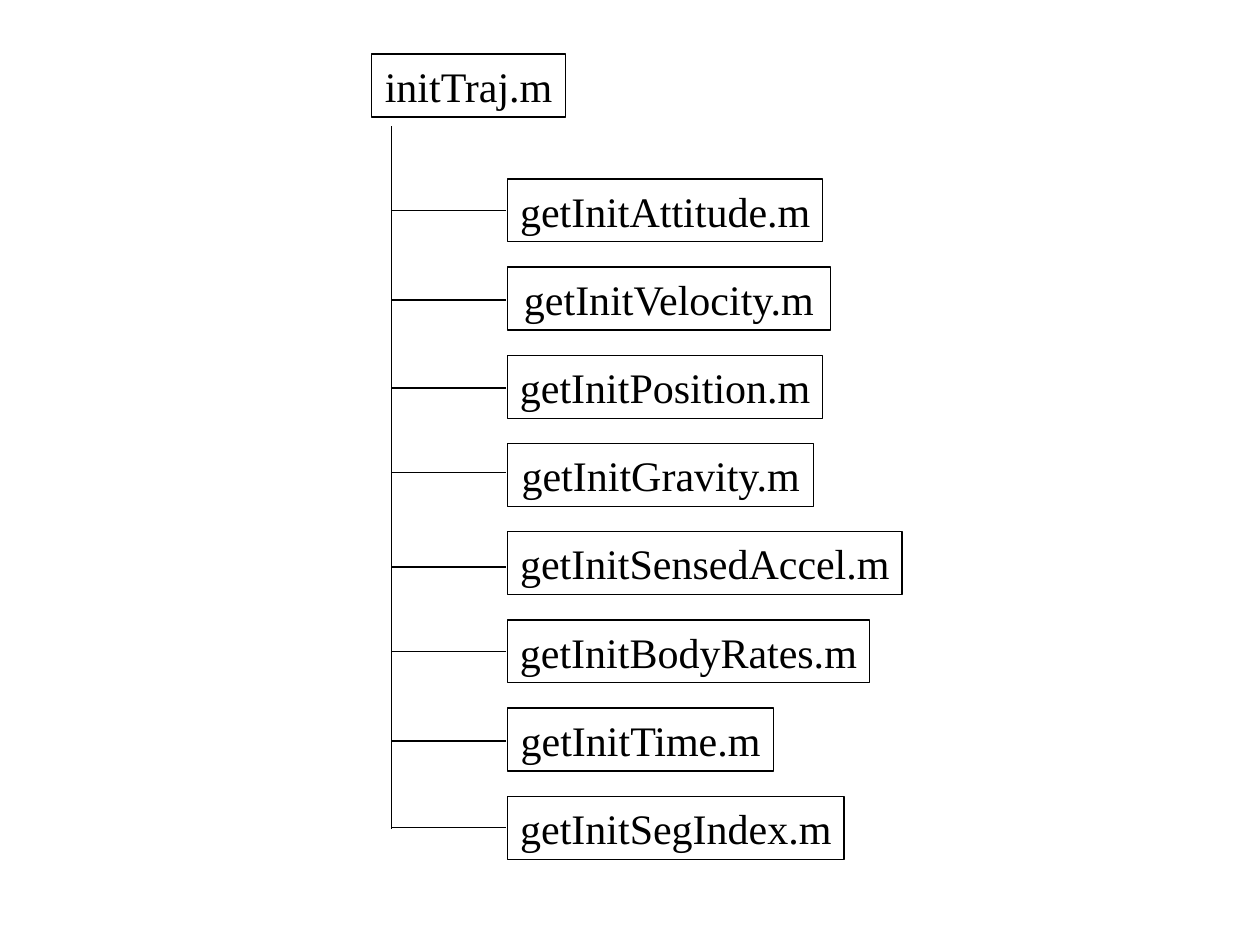
from pptx import Presentation
from pptx.dml.color import RGBColor
from pptx.enum.shapes import MSO_CONNECTOR as Connector, MSO_SHAPE as Shape
from pptx.enum.text import MSO_ANCHOR as Anchor, MSO_AUTO_SIZE as AutoSize, PP_ALIGN as Align
from pptx.oxml.ns import qn
from pptx.util import Inches, Pt
from lxml.etree import SubElement

INK = "000000"
FONT = "Times New Roman"
BOX_HEIGHT, SIDE_INSET = 0.5, 0.09
CHILD_LEFT, FIRST_ROW, ROW_STEP = 4.03, 1.42, 0.7
TRUNK_X, BRANCH_END = 3.11, 4.02

# File name, box width, height of its branch line
CHILDREN = [
    ("getInitAttitude.m", 2.5, 1.67),
    ("getInitVelocity.m", 2.56, 2.38),
    ("getInitPosition.m", 2.5, 3.08),
    ("getInitGravity.m", 2.43, 3.75),
    ("getInitSensedAccel.m", 3.13, 4.5),
    ("getInitBodyRates.m", 2.87, 5.17),
    ("getInitTime.m", 2.11, 5.88),
    ("getInitSegIndex.m", 2.67, 6.57),
]


def color(hex_text):
    return RGBColor.from_string(hex_text)


def style_line(line):
    line.color.rgb = color(INK)
    line.width = Pt(0.75)


def add_file_box(page, name, left, top, width):
    box = page.shapes.add_shape(
        Shape.RECTANGLE, Inches(left), Inches(top), Inches(width), Inches(BOX_HEIGHT))
    box.shadow.inherit = False
    box.fill.background()
    style_line(box.line)
    frame = box.text_frame
    frame.word_wrap = False
    frame.auto_size = AutoSize.SHAPE_TO_FIT_TEXT
    frame.vertical_anchor = Anchor.TOP
    frame.margin_left = frame.margin_right = Inches(SIDE_INSET)
    para = frame.paragraphs[0]
    para.alignment = Align.CENTER
    span = para.add_run()
    span.text = name
    span.font.name = FONT
    span.font.size = Pt(24)
    span.font.color.rgb = color(INK)


def add_line(page, x1, y1, x2, y2):
    line = page.shapes.add_connector(
        Connector.STRAIGHT, Inches(x1), Inches(y1), Inches(x2), Inches(y2))
    style_line(line.line)
    SubElement(line._element.spPr, qn("a:effectLst"))


def main():
    deck = Presentation()
    deck.slide_width, deck.slide_height = Inches(10), Inches(7.5)
    page = deck.slides.add_slide(deck.slide_layouts[6])

    # Calling file and the trunk below it
    add_file_box(page, "initTraj.m", 2.95, 0.43, 1.54)
    add_line(page, TRUNK_X, 1, TRUNK_X, 6.58)

    # Called files, one per row, each on its branch
    for row, (name, width, branch_y) in enumerate(CHILDREN):
        add_file_box(page, name, CHILD_LEFT, FIRST_ROW + row * ROW_STEP, width)
        add_line(page, TRUNK_X, branch_y, BRANCH_END, branch_y)

    deck.save("out.pptx")


if __name__ == "__main__":
    main()
